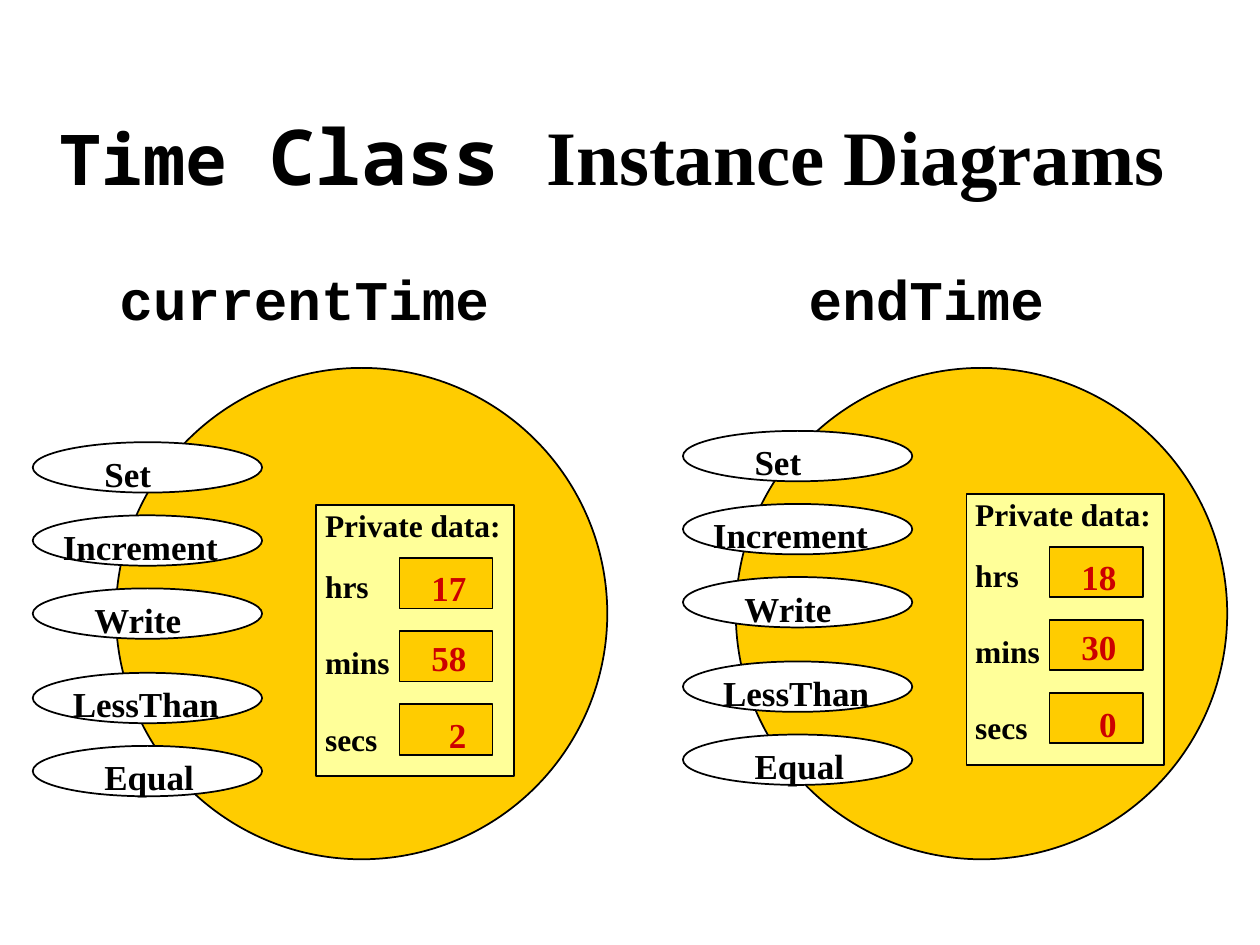
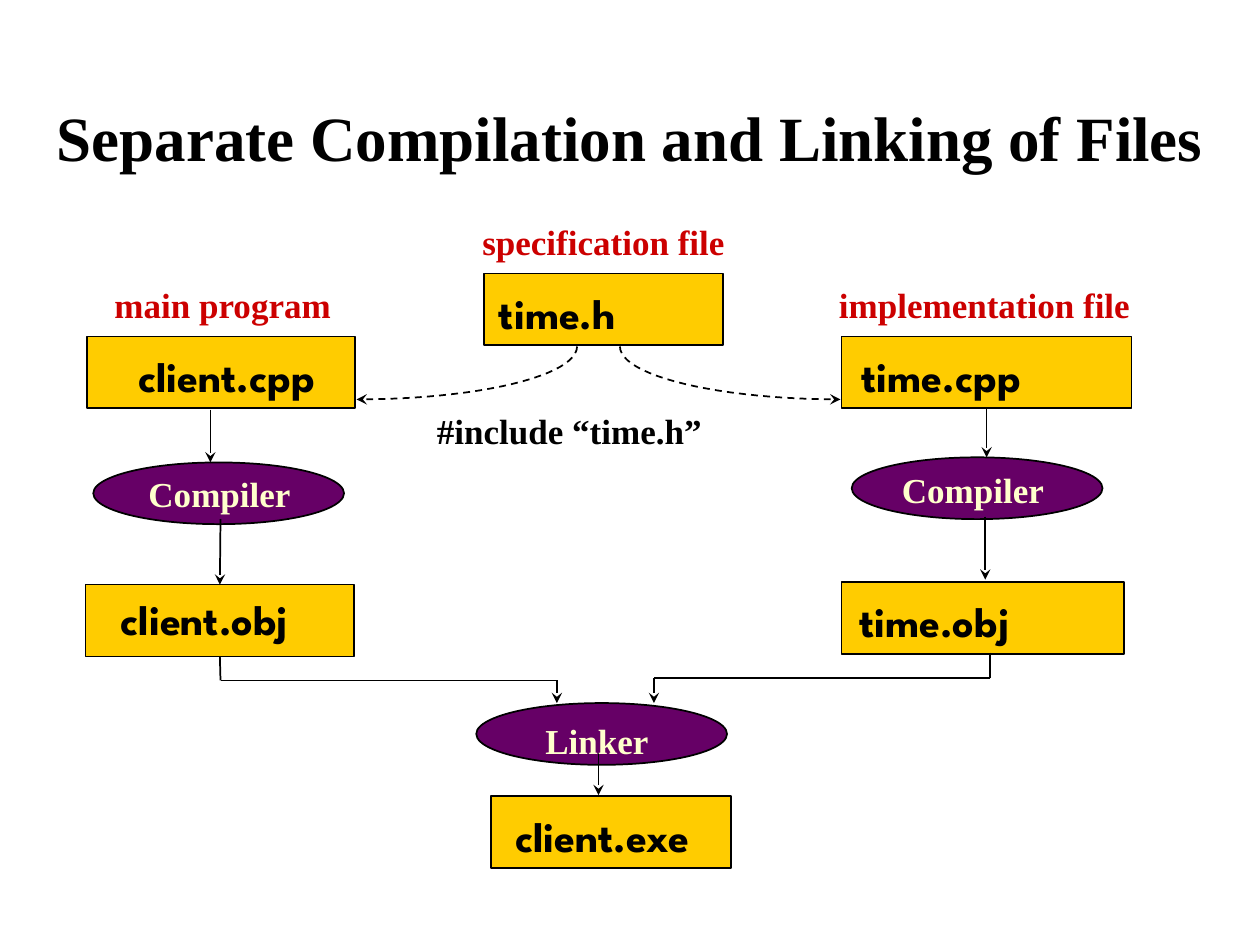
from math import cos, pi, sin
from lxml import etree
from pptx import Presentation
from pptx.dml.color import RGBColor
from pptx.enum.dml import MSO_LINE
from pptx.enum.shapes import MSO_CONNECTOR, MSO_SHAPE
from pptx.enum.text import MSO_ANCHOR, MSO_AUTO_SIZE, PP_ALIGN
from pptx.oxml.ns import qn
from pptx.util import Inches, Pt

BLACK = RGBColor(0x00, 0x00, 0x00)
WHITE = RGBColor(0xFF, 0xFF, 0xFF)
GOLD = RGBColor(0xFF, 0xCC, 0x00)
PALE = RGBColor(0xFF, 0xFF, 0x99)
CREAM = RGBColor(0xFF, 0xFF, 0xCC)
RED = RGBColor(0xCC, 0x00, 0x00)
PLUM = RGBColor(0x66, 0x00, 0x66)

OVAL, RECT = MSO_SHAPE.OVAL, MSO_SHAPE.RECTANGLE
LINE = MSO_CONNECTOR.STRAIGHT
DASH = MSO_LINE.DASH
TOP, BASE = MSO_ANCHOR.TOP, MSO_ANCHOR.BOTTOM
LEFT, MID, RIGHT = PP_ALIGN.LEFT, PP_ALIGN.CENTER, PP_ALIGN.RIGHT
GROW, FIXED = MSO_AUTO_SIZE.SHAPE_TO_FIT_TEXT, MSO_AUTO_SIZE.NONE

SERIF = "Times New Roman"


def style(size, face=SERIF):
    return {"name": face, "size": Pt(size), "bold": True}


LABEL = style(20)
FIELD = style(18)
CODE = style(24, "League Spartan")
NAME = style(32, "Courier New")

TIMES = [
    {"name": "currentTime", "name_x": 0.85, "disc_x": 0.92,
     "x": 0.26, "y": 3.51, "values": ["17", "58", "2"]},
    {"name": "endTime", "name_x": 6.32, "disc_x": 5.84,
     "x": 5.42, "y": 3.42, "values": ["18", "30", "0"]},
]
METHODS = [("Set", 0, 0.47, 0.57), ("Increment", 0.58, 0.14, 1.44),
           ("Write", 1.16, 0.39, 0.9), ("LessThan", 1.83, 0.22, 1.36),
           ("Equal", 2.41, 0.47, 0.91)]
FIELDS = ["Private data:", "hrs", "mins", "secs"]

FILES = {
    "time.h": (3.84, 2.17, 1.9, 0.12, 0.11),
    "client.cpp": (0.69, 2.67, 2.13, 0.41, 0.11),
    "time.cpp": (6.68, 2.67, 2.3, 0.16, 0.11),
    "client.obj": (0.68, 4.64, 2.13, 0.28, 0.07),
    "time.obj": (6.68, 4.62, 2.24, 0.14, 0.11),
    "client.exe": (3.9, 6.32, 1.9, 0.19, 0.11),
}
TOOLS = [(0.74, 3.67), (6.76, 3.63), (3.78, 5.58)]
NOTES = [
    ("Compiler", 1.08, 3.7, 1.33, CREAM),
    ("Compiler", 7.06, 3.67, 1.33, CREAM),
    ("Linker", 4.23, 5.66, 1.02, CREAM),
    ("#include “time.h”", 3.37, 3.2, 2.3, BLACK),
    ("implementation file", 6.56, 2.2, 2.51, RED),
    ("specification file", 3.73, 1.7, 2.13, RED),
    ("main program", 0.81, 2.2, 1.93, RED),
]
FLOWS = [
    ([(1.67, 3.25), (1.67, 3.67)], None, None),
    ([(7.83, 3.25), (7.83, 3.63)], "time.cpp", None),
    ([(1.75, 4.12), (1.75, 4.62)], None, "client.obj"),
    ([(7.82, 4.1), (7.82, 4.6)], None, None),
    ([(1.75, 5.21), (1.75, 5.4), (4.42, 5.4), (4.42, 5.58)],
     "client.obj", None),
    ([(7.86, 5.18), (7.86, 5.38), (5.19, 5.38), (5.19, 5.58)], None, None),
    ([(4.75, 5.98), (4.75, 6.31)], None, None),
]
CURVES = [(2.83, 4.58), (6.67, 4.92)]


def place(*sizes):
    return [Inches(size) for size in sizes]


def set_all(thing, values):
    for key, value in values.items():
        setattr(thing, key, value)


def add_run(para, text, font, color):
    run = para.add_run()
    run.text = text
    set_all(run.font, font)
    run.font.color.rgb = color


def write(frame, lines, font, color, gaps=(), align=LEFT):
    for i, text in enumerate(lines):
        para = frame.add_paragraph() if i else frame.paragraphs[0]
        para.alignment = align
        if i and gaps:
            para.space_before = Pt(gaps[i - 1])
        add_run(para, text, font, color)


def add_form(slide, kind, box, fill):
    form = slide.shapes.add_shape(kind, *place(*box))
    form.shadow.inherit = False
    form.fill.solid()
    form.fill.fore_color.rgb = fill
    set_line(form.line)
    return form


def set_line(line):
    line.color.rgb = BLACK
    line.width = Pt(1)


def inset(form, left, top):
    set_all(form.text_frame, {
        "margin_left": Inches(left), "margin_top": Inches(top),
        "margin_right": 0, "margin_bottom": 0,
        "vertical_anchor": TOP, "word_wrap": True})
    return form.text_frame


def add_text(slide, lines, box, font, color, **more):
    frame = slide.shapes.add_textbox(*place(*box)).text_frame
    set_all(frame, {"word_wrap": False, "auto_size": GROW})
    write(frame, lines, font, color, **more)


def add_title(slide, box, anchor, runs):
    title = slide.shapes.title
    set_all(title, dict(zip(("left", "top", "width", "height"), place(*box))))
    frame = title.text_frame
    set_all(frame, {"vertical_anchor": anchor, "auto_size": FIXED,
                    "word_wrap": True})
    para = frame.paragraphs[0]
    para.alignment = MID
    for text, size, face in runs:
        add_run(para, text, style(size, face), BLACK)


def add_tip(shape):
    line = shape._element.spPr.find(qn("a:ln"))
    etree.SubElement(line, qn("a:tailEnd"), type="stealth")


def add_flow(slide, points, start, end):
    last = len(points) - 2
    for i, (a, b) in enumerate(zip(points, points[1:])):
        link = slide.shapes.add_connector(LINE, *place(*a, *b))
        set_line(link.line)
        if i == 0 and start:
            link.begin_connect(start, 2)
        if i == last:
            add_tip(link)
            if end:
                link.end_connect(end, 0)
        etree.SubElement(link._element.spPr, qn("a:effectLst"))


def add_curve(slide, tip, root, top=2.75, drop=0.42, steps=24):
    turns = [pi / 2 * (1 - i / steps) for i in range(steps + 1)]
    points = [(tip + (root - tip) * (1 - sin(t)), top + drop * (1 - cos(t)))
              for t in turns]
    points = [(root + (tip - root) * (1 - sin(t)), top + drop * cos(t))
              for t in turns]
    pen = slide.shapes.build_freeform(*place(*points[0]))
    pen.add_line_segments([place(*point) for point in points[1:]], close=False)
    curve = pen.convert_to_shape()
    curve.shadow.inherit = False
    curve.fill.background()
    set_line(curve.line)
    curve.line.dash_style = DASH
    add_tip(curve)


def draw_time(slide, time):
    x, y = time["x"], time["y"]
    add_form(slide, OVAL, (time["disc_x"], 2.92, 3.9, 3.9), GOLD)
    for text, down, side, wide in METHODS:
        add_form(slide, OVAL, (x, y + down, 1.82, 0.4), WHITE)
        add_text(slide, [text], (x + side, y + down + 0.03, wide, 0.43),
                 LABEL, BLACK)
    panel = add_form(slide, RECT, (x + 2.25, y + 0.5, 1.57, 2.15), PALE)
    write(inset(panel, 0.07, 0.01), FIELDS, FIELD, BLACK, gaps=(13, 22, 22))
    for i in range(len(time["values"])):
        add_form(slide, RECT, (x + 2.91, y + 0.92 + 0.58 * i, 0.74, 0.4), GOLD)
    add_text(slide, time["values"], (x + 3.06, y + 0.94, 0.48, 1.57),
             LABEL, RED, gaps=(16, 20), align=RIGHT)
    add_text(slide, [time["name"]], (time["name_x"], 2.05, 3.2, 0.63),
             NAME, BLACK)


def draw_build(slide):
    forms = {}
    for name, (x, y, wide, left, top) in FILES.items():
        forms[name] = add_form(slide, RECT, (x, y, wide, 0.57), GOLD)
        write(inset(forms[name], left, top), [name], CODE, BLACK)
    for x, y in TOOLS:
        add_form(slide, OVAL, (x, y, 1.99, 0.49), PLUM)
    for points, start, end in FLOWS:
        add_flow(slide, points, forms.get(start), forms.get(end))
    for tip, root in CURVES:
        add_curve(slide, tip, root)
    for text, x, y, wide, color in NOTES:
        add_text(slide, [text], (x, y, wide, 0.43), LABEL, color)


def main():
    deck = Presentation()
    deck.slide_width, deck.slide_height = place(10, 7.5)
    layout = deck.slide_layouts[5]

    slide = deck.slides.add_slide(layout)
    add_title(slide, (0.08, 0.81, 9.56, 0.83), TOP,
              [("Time ", 40, "Noto Sans Mono"), ("Class ", 44, "Noto Sans Mono"),
               ("Instance Diagrams", 44, SERIF)])
    for time in TIMES:
        draw_time(slide, time)

    slide = deck.slides.add_slide(layout)
    add_title(slide, (0, 0.18, 10, 1.25), BASE,
              [("Separate Compilation and Linking of Files", 36, SERIF)])
    draw_build(slide)

    deck.save("out.pptx")


if __name__ == "__main__":
    main()
